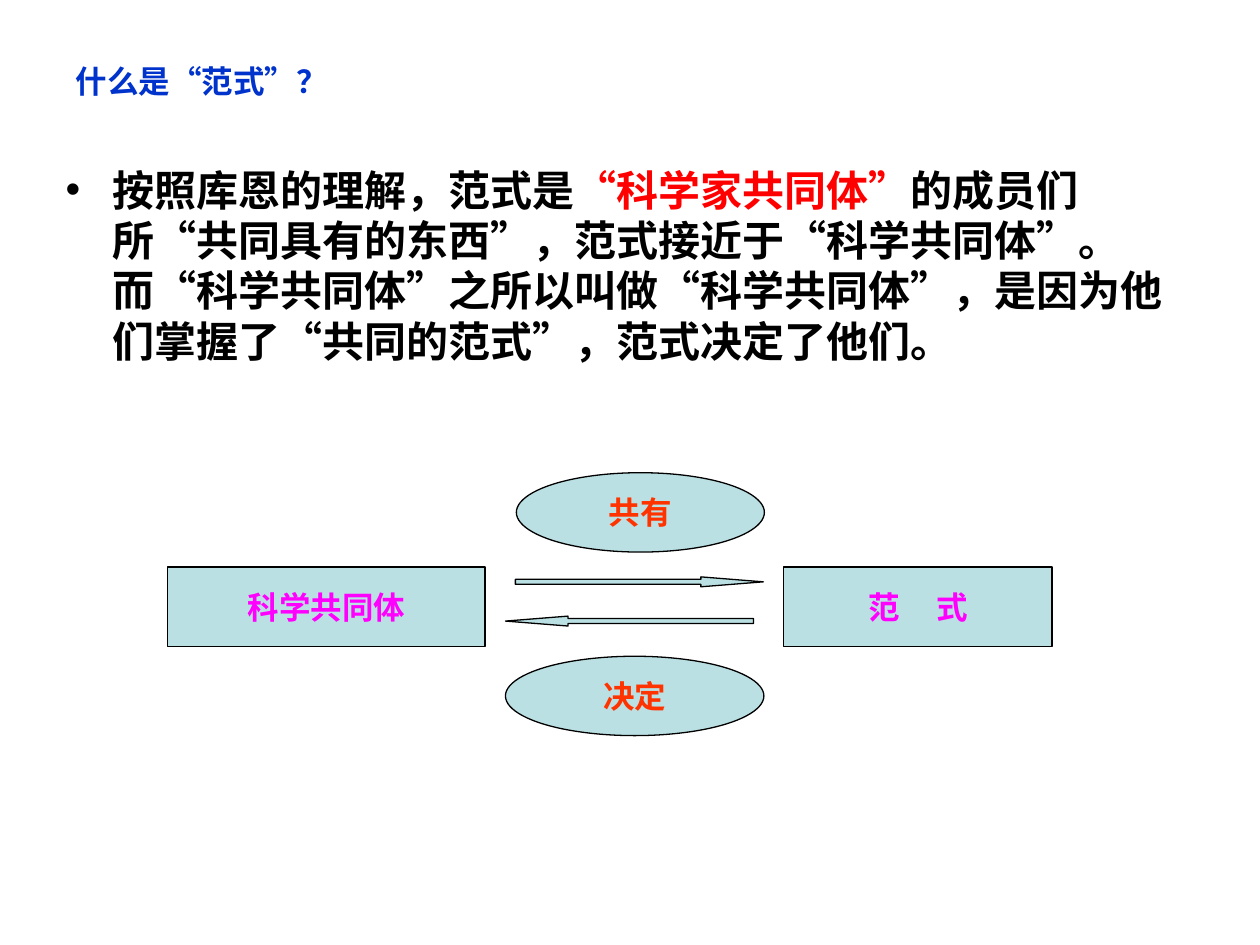
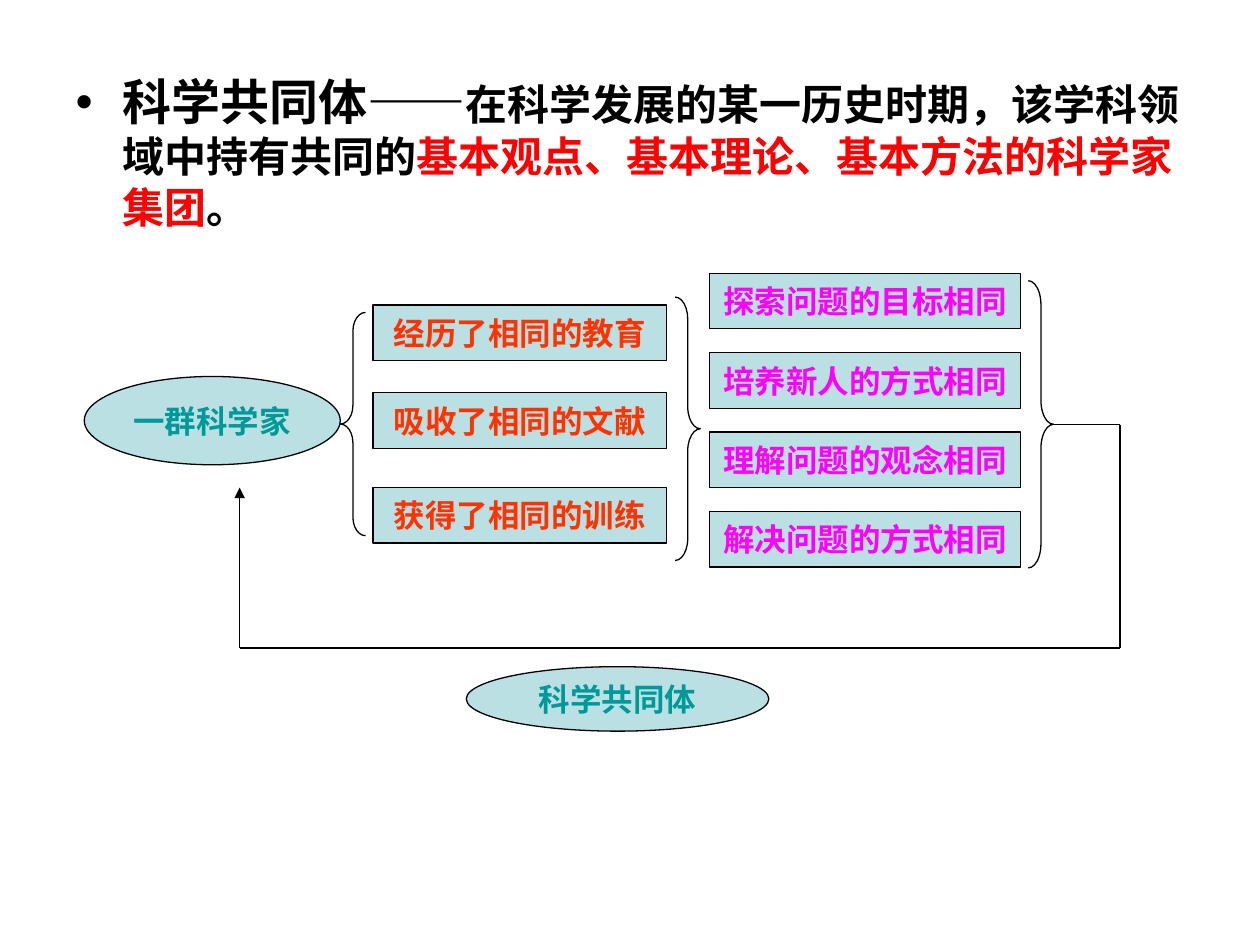
from itertools import groupby, pairwise

from lxml.etree import SubElement
from pptx import Presentation
from pptx.dml.color import RGBColor
from pptx.enum.shapes import MSO_CONNECTOR, MSO_SHAPE
from pptx.enum.text import MSO_ANCHOR, MSO_AUTO_SIZE, PP_ALIGN
from pptx.oxml.ns import qn
from pptx.util import Cm, Pt

# Shared colours and fonts
BLACK = RGBColor(0x00, 0x00, 0x00)
RED = RGBColor(0xFF, 0x00, 0x00)
TITLE_BLUE = RGBColor(0x00, 0x33, 0xCC)
PALE_TEAL = RGBColor(0xBB, 0xE0, 0xE3)
MAGENTA = RGBColor(0xFF, 0x00, 0xFF)
ORANGE = RGBColor(0xFF, 0x33, 0x00)
TEAL = RGBColor(0x00, 0x99, 0x99)

TEXT_FONT = "Arial"
DIAGRAM_FONT = "Cabin"
QUOTE_FONT = "Noto Sans CJK SC"
QUOTES = "“”"
LINE_WIDTH = Pt(0.75)


# Text
def format_span(span, size, color, latin, east_asian):
    span.font.size = Pt(size)
    span.font.bold = True
    span.font.color.rgb = color
    span.font.name = latin
    SubElement(span.font._element, qn("a:ea")).set("typeface", east_asian)


def add_spans(para, text, size, color):
    """Add text, giving the quotation marks their own font."""
    for is_quote, letters in groupby(text, lambda letter: letter in QUOTES):
        span = para.add_run()
        span.text = "".join(letters)
        if is_quote:
            format_span(span, size, color, QUOTE_FONT, QUOTE_FONT)
        else:
            format_span(span, size, color, TEXT_FONT, DIAGRAM_FONT)


def place(shape, left, top, width, height):
    shape.left, shape.top = Cm(left), Cm(top)
    shape.width, shape.height = Cm(width), Cm(height)


def fill_title(page, text):
    title = page.shapes.title
    place(title, 1.27, 0.76, 22.86, 1.75)
    frame = title.text_frame
    frame.auto_size = MSO_AUTO_SIZE.NONE
    frame.vertical_anchor = MSO_ANCHOR.MIDDLE
    para = frame.paragraphs[0]
    para.alignment = PP_ALIGN.LEFT
    add_spans(para, text, 18, TITLE_BLUE)


def fill_body(page, bounds, parts):
    """Write one bulleted paragraph from (text, size, colour) parts."""
    body = page.placeholders[1]
    place(body, *bounds)
    body.text_frame.auto_size = MSO_AUTO_SIZE.NONE
    para = body.text_frame.paragraphs[0]
    para.space_before = Pt(6)
    properties = para._p.get_or_add_pPr()
    properties.set("marL", str(Cm(0.95)))
    properties.set("indent", str(-Cm(0.95)))
    SubElement(properties, qn("a:buFont")).set("typeface", TEXT_FONT)
    SubElement(properties, qn("a:buChar")).set("char", "•")
    for text, size, color in parts:
        add_spans(para, text, size, color)


# Diagram parts
def add_outlined(page, kind, bounds, fill=PALE_TEAL):
    shape = page.shapes.add_shape(kind, *(Cm(length) for length in bounds))
    shape.shadow.inherit = False
    if fill is None:
        shape.fill.background()
    else:
        shape.fill.solid()
        shape.fill.fore_color.rgb = fill
    shape.line.color.rgb = BLACK
    shape.line.width = LINE_WIDTH
    return shape


def add_label(page, kind, bounds, text, color, gap=0):
    """Add a captioned shape; gap widens the spaces between words, in points."""
    frame = add_outlined(page, kind, bounds).text_frame
    frame.word_wrap = False
    frame.vertical_anchor = MSO_ANCHOR.MIDDLE
    para = frame.paragraphs[0]
    para.alignment = PP_ALIGN.CENTER
    for is_space, letters in groupby(text, str.isspace):
        span = para.add_run()
        span.text = "".join(letters)
        format_span(span, 18, color, DIAGRAM_FONT, DIAGRAM_FONT)
        if is_space and gap:
            span.font._element.set("spc", str(gap * 100))


def add_arrow(page, left, top, rotation=0):
    arrow = add_outlined(page, MSO_SHAPE.RIGHT_ARROW, (left, top, 5, 0.2))
    arrow.adjustments[1] = 6.3
    arrow.rotation = rotation


def add_brace(page, kind, left, top, height):
    width = 0.51
    brace = add_outlined(page, kind, (left, top, width, height), fill=None)
    brace.adjustments[0] = height / 12 / width


def add_route(page, points):
    """Join the points with lines and end the last one in an arrowhead."""
    for start, end in pairwise(points):
        line = page.shapes.add_connector(
            MSO_CONNECTOR.STRAIGHT, *(Cm(length) for length in start + end))
        line.line.color.rgb = BLACK
        line.line.width = LINE_WIDTH
        properties = line._element.spPr
        SubElement(properties, qn("a:effectLst"))
    SubElement(properties.find(qn("a:ln")), qn("a:tailEnd")).set("type", "triangle")


# Slides
def build_paradigm_page(deck):
    page = deck.slides.add_slide(deck.slide_layouts[1])
    fill_title(page, "什么是“范式”？")
    fill_body(page, (1.07, 3.18, 22.86, 13.69), [
        ("按照库恩的理解，范式是", 24, BLACK),
        ("“科学家共同体”", 24, RED),
        ("的成员们所“共同具有的东西”，范式接近于“科学共同体”。"
         "而“科学共同体”之所以叫做“科学共同体”，是因为他们掌握了"
         "“共同的范式”，范式决定了他们。", 24, BLACK),
    ])

    # Community and paradigm, linked both ways
    box, oval = MSO_SHAPE.RECTANGLE, MSO_SHAPE.OVAL
    add_label(page, box, (3.38, 11.43, 6.4, 1.6), "科学共同体", MAGENTA)
    add_label(page, box, (15.8, 11.43, 5.41, 1.6), "范 式", MAGENTA, gap=17)
    add_label(page, oval, (10.41, 9.53, 5, 1.6), "共有", ORANGE)
    add_label(page, oval, (10.19, 13.23, 5.21, 1.6), "决定", ORANGE)
    add_arrow(page, 10.39, 11.63)
    add_arrow(page, 10.19, 12.42, rotation=180)


def build_community_page(deck):
    page = deck.slides.add_slide(deck.slide_layouts[1])
    title = page.shapes.title._element
    title.getparent().remove(title)
    fill_body(page, (1.27, 1.32, 22.86, 15.39), [
        ("科学共同体――", 28, BLACK),
        ("在科学发展的某一历史时期，该学科领域中持有共同的", 24, BLACK),
        ("基本观点、基本理论、基本方法的科学家集团", 24, RED),
        ("。", 24, BLACK),
    ])

    # Scientists, their shared past and their shared outlook
    box, oval = MSO_SHAPE.RECTANGLE, MSO_SHAPE.OVAL
    add_label(page, oval, (1.7, 7.59, 5.16, 1.78), "一群科学家", TEAL)
    shared_past = [(6.15, "经历了相同的教育"), (7.92, "吸收了相同的文献"),
                   (9.83, "获得了相同的训练")]
    for top, text in shared_past:
        add_label(page, box, (7.52, top, 5.92, 1.12), text, ORANGE)
    shared_outlook = ["探索问题的目标相同", "培养新人的方式相同",
                      "理解问题的观念相同", "解决问题的方式相同"]
    for row, text in enumerate(shared_outlook):
        add_label(page, box, (14.3, 5.51 + 1.6 * row, 6.27, 1.12), text, MAGENTA)

    # Braces around the columns and the way back to the scientists
    add_brace(page, MSO_SHAPE.LEFT_BRACE, 6.86, 6.3, 4.5)
    add_brace(page, MSO_SHAPE.RIGHT_BRACE, 13.61, 5.99, 5.31)
    add_brace(page, MSO_SHAPE.RIGHT_BRACE, 20.73, 5.66, 5.79)
    add_route(page, [(21.23, 8.56), (22.58, 8.56), (22.58, 13.06),
                     (4.83, 13.06), (4.83, 9.83)])
    add_label(page, oval, (9.4, 13.44, 6.1, 1.3), "科学共同体", TEAL)


def main():
    deck = Presentation()
    deck.slide_width, deck.slide_height = Cm(25.4), Cm(19.05)
    build_paradigm_page(deck)
    build_community_page(deck)
    deck.save("out.pptx")


if __name__ == "__main__":
    main()
